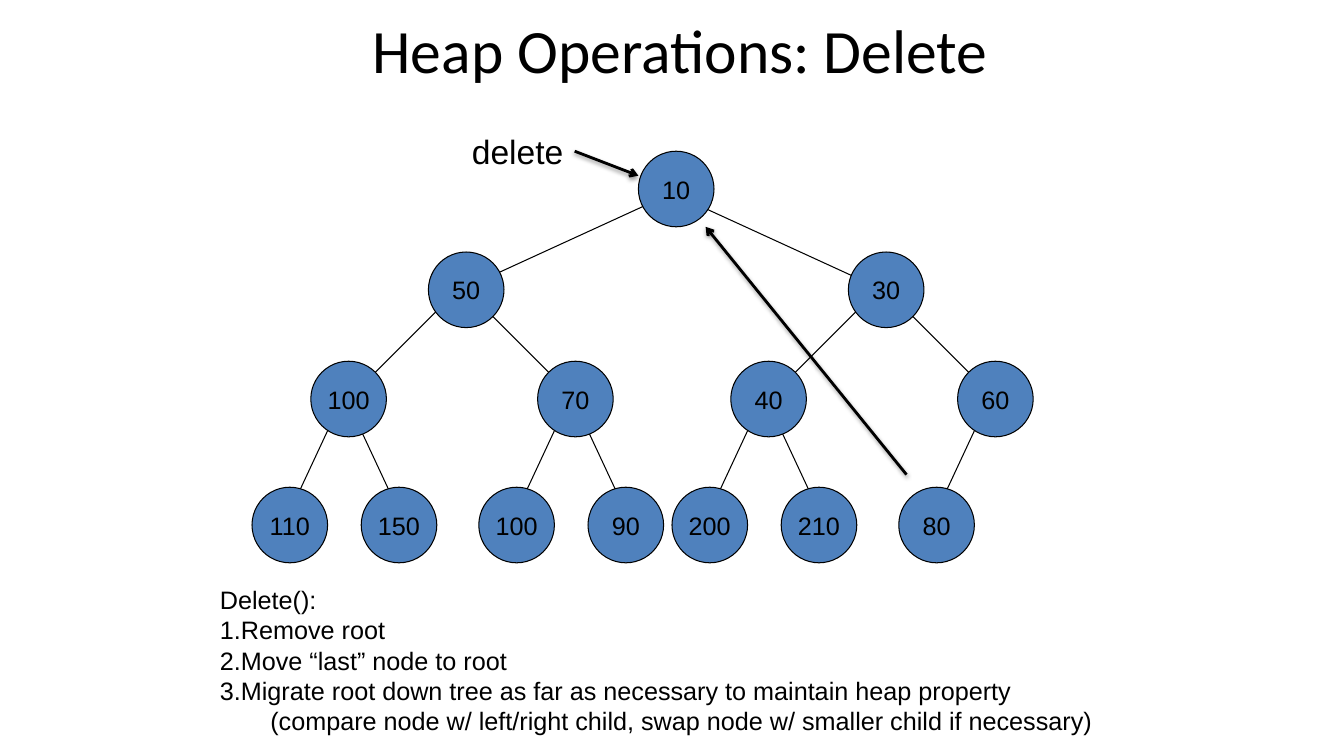
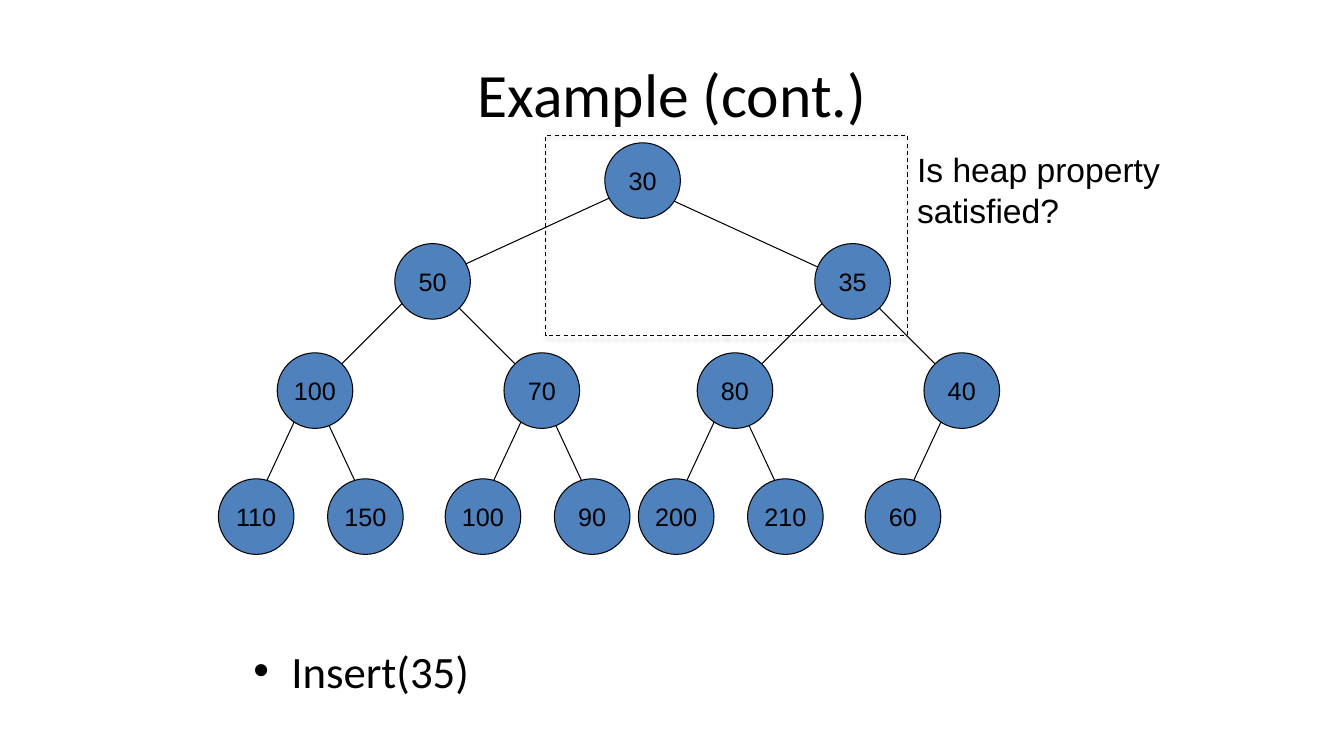
import lxml.etree
import pptx
import pptx.dml.color
import pptx.enum.dml
import pptx.enum.shapes
import pptx.enum.text
import pptx.oxml.ns
import pptx.util

Pt = pptx.util.Pt
qn = pptx.oxml.ns.qn
ALIGN = pptx.enum.text.PP_ALIGN
ANCHOR = pptx.enum.text.MSO_ANCHOR
SHAPE = pptx.enum.shapes.MSO_SHAPE

NODE_SIZE = 54
HALF = 24
NODE_PLACES = [
    (0, 0), (-150, 72), (150, 72),
    (-234, 150), (-72, 150), (66, 150), (228, 150),
    (-276, 240), (-198, 240), (-114, 240), (-36, 240),
    (24, 240), (102, 240), (186, 240),
]
EDGE_ENDS = [24, 30, 18, 30, 24, 30, 24, 24, 30, 24, 30, 24, 30, 24]


def rgb(code):
    return pptx.dml.color.RGBColor.from_string(code)


def add_element(parent, tag, **attributes):
    return lxml.etree.SubElement(parent, qn(tag), attributes)


class HeapDeck:
    """Holds the shared style and the slide being drawn."""

    ink = "000000"
    node_fill = "4F81BD"
    title_font = "Calibri"
    body_font = "Arial"

    def __init__(self):
        self.deck = pptx.Presentation()
        self.deck.slide_width = Pt(960)
        self.deck.slide_height = Pt(540)
        self.page = None

    def new_page(self, title, left, top, width):
        self.page = self.deck.slides.add_slide(self.deck.slide_layouts[6])
        box = self.text([title], left, top, width, 90, 44, self.title_font)
        box.text_frame.vertical_anchor = ANCHOR.MIDDLE
        box.text_frame.paragraphs[0].alignment = ALIGN.CENTER

    def style(self, para, size, font):
        for span in para.runs:
            span.font.size = Pt(size)
            span.font.name = font
            span.font.color.rgb = rgb(self.ink)

    def text(self, lines, left, top, width, height, size, font=body_font, wrap=True):
        box = self.page.shapes.add_textbox(Pt(left), Pt(top), Pt(width), Pt(height))
        box.text_frame.word_wrap = wrap
        box.text_frame.text = "\n".join(lines)
        for para in box.text_frame.paragraphs:
            self.style(para, size, font)
        return box

    def indent(self, para, left, first=0):
        properties = para._p.get_or_add_pPr()
        properties.set("marL", str(Pt(left)))
        properties.set("indent", str(Pt(first)))
        return properties

    def bullet(self, para, tag, left=0, first=0, **attributes):
        properties = self.indent(para, left, first)
        add_element(properties, "a:buFont", typeface=self.body_font)
        add_element(properties, tag, **attributes)

    def shadow(self, shape, alpha, distance):
        effects = add_element(shape._element.spPr, "a:effectLst")
        if alpha:
            outer = add_element(
                effects, "a:outerShdw", blurRad=str(Pt(3.1)), dist=str(Pt(distance)),
                dir="5400000", rotWithShape="0",
            )
            color = add_element(outer, "a:srgbClr", val=self.ink)
            add_element(color, "a:alpha", val=str(alpha * 1000))

    def outline(self, shape, width=0.75):
        shape.line.color.rgb = rgb(self.ink)
        shape.line.width = Pt(width)

    def line(self, start, end, width=0.75, shadow=0):
        line = self.page.shapes.add_connector(
            pptx.enum.shapes.MSO_CONNECTOR.STRAIGHT, *(Pt(value) for value in start + end)
        )
        self.outline(line, width)
        self.shadow(line, shadow, 1.6)
        return line

    def arrow(self, start, end):
        line = self.line(start, end, 2, 38)
        add_element(line._element.spPr.find(qn("a:ln")), "a:tailEnd", type="arrow")

    def node(self, label, left, top):
        node = self.page.shapes.add_shape(
            SHAPE.OVAL, Pt(left), Pt(top), Pt(NODE_SIZE), Pt(NODE_SIZE)
        )
        node.shadow.inherit = False
        node.fill.solid()
        node.fill.fore_color.rgb = rgb(self.node_fill)
        self.outline(node)
        node.text_frame.word_wrap = False
        node.text_frame.vertical_anchor = ANCHOR.MIDDLE
        node.text_frame.text = label
        para = node.text_frame.paragraphs[0]
        para.alignment = ALIGN.CENTER
        self.style(para, 18, self.body_font)

    def tree(self, labels, left, top):
        places = [(left + x, top + y) for x, y in NODE_PLACES]
        for child in range(1, len(labels)):
            parent = (child - 1) // 2
            parent_left, parent_top = places[parent]
            child_left, child_top = places[child]
            drop = HALF if parent else 30
            self.line(
                (parent_left + HALF, parent_top + drop),
                (child_left + EDGE_ENDS[child], child_top + HALF),
            )
        for label, place in zip(labels, places):
            self.node(str(label), *place)

    def dashed_frame(self, left, top, width, height):
        frame = self.page.shapes.add_shape(
            SHAPE.RECTANGLE, Pt(left), Pt(top), Pt(width), Pt(height)
        )
        frame.fill.background()
        self.outline(frame)
        frame.line.dash_style = pptx.enum.dml.MSO_LINE.DASH
        self.shadow(frame, 35, 1.8)


def delete_page(heap):
    heap.new_page("Heap Operations: Delete", 162, -10, 648)
    heap.tree([10, 50, 30, 100, 70, 40, 60, 110, 150, 100, 90, 200, 210, 80], 456, 108)
    steps = heap.text(
        [
            "Delete():",
            "Remove root",
            "Move “last” node to root",
            "Migrate root down tree as far as necessary to maintain heap property",
            "(compare node w/ left/right child, swap node w/ smaller child if necessary)",
        ],
        150, 414, 666, 117, 18,
    )
    paragraphs = steps.text_frame.paragraphs
    for para in paragraphs[1:4]:
        heap.bullet(para, "a:buAutoNum", type="arabicPeriod")
    heap.indent(paragraphs[4], 36)
    heap.text(["delete"], 330, 90, 81, 36, 24, wrap=False)
    heap.arrow((410.5, 108), (456, 125.5))
    heap.arrow((647.5, 339), (504, 162))


def example_page(heap):
    heap.new_page("Example (cont.)", 48, 21.6, 864)
    heap.tree([30, 50, 35, 100, 70, 80, 40, 110, 150, 100, 90, 200, 210, 60], 432, 102)
    call = heap.text(["Insert(35)"], 174, 456, 612, 60, 32, heap.title_font)
    heap.bullet(call.text_frame.paragraphs[0], "a:buChar", 27, -27, char="•")
    heap.text(["Is heap property satisfied?"], 648, 103, 192, 65.5, 24)
    heap.dashed_frame(390, 96.5, 258, 143.5)


def main():
    heap = HeapDeck()
    delete_page(heap)
    example_page(heap)
    heap.deck.save("out.pptx")


if __name__ == "__main__":
    main()
